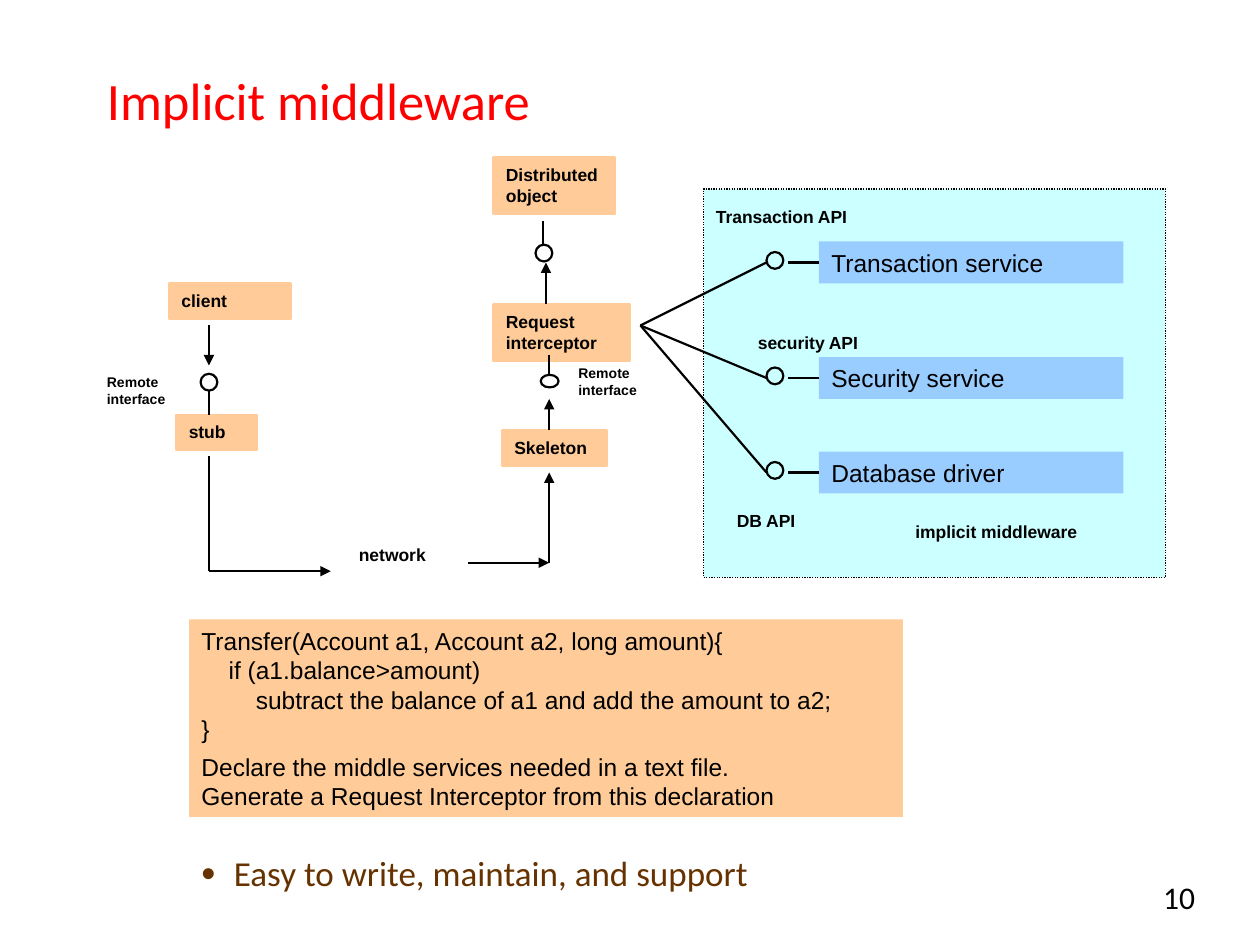
from lxml import etree
from pptx import Presentation
from pptx.dml.color import RGBColor
from pptx.enum.dml import MSO_LINE
from pptx.enum.shapes import MSO_CONNECTOR, MSO_SHAPE
from pptx.enum.text import MSO_ANCHOR, PP_ALIGN
from pptx.oxml.ns import qn
from pptx.util import Emu, Pt

PX = 7620  # EMU per px, 120 px to the inch

BLACK = RGBColor(0x00, 0x00, 0x00)
RED = RGBColor(0xFF, 0x00, 0x00)
BROWN = RGBColor(0x66, 0x33, 0x00)
ORANGE = RGBColor(0xFF, 0xCC, 0x99)
BLUE = RGBColor(0x99, 0xCC, 0xFF)
CYAN = RGBColor(0xCC, 0xFF, 0xFF)

RECT, OVAL = MSO_SHAPE.RECTANGLE, MSO_SHAPE.OVAL
STRAIGHT = MSO_CONNECTOR.STRAIGHT
TOP, MIDDLE = MSO_ANCHOR.TOP, MSO_ANCHOR.MIDDLE
LEFT, RIGHT = PP_ALIGN.LEFT, PP_ALIGN.RIGHT
DOTTED = MSO_LINE.ROUND_DOT

prs = Presentation()
prs.slide_width, prs.slide_height = Emu(1200 * PX), Emu(900 * PX)
shapes = prs.slides.add_slide(prs.slide_layouts[6]).shapes


def add_box(box, text="", kind=None, fill=None, line=None, size=10, bold=False,
            font="Arial", color=BLACK, align=LEFT, anchor=TOP):
    """Add a shape of the given kind, or a text box, with one paragraph per line of text."""
    box = [Emu(v * PX) for v in box]
    if kind is None:
        sp = shapes.add_textbox(*box)
    else:
        sp = shapes.add_shape(kind, *box)
        sp.shadow.inherit = False
    if fill is None:
        sp.fill.background()
    else:
        sp.fill.solid()
        sp.fill.fore_color.rgb = fill
    if line is None:
        sp.line.fill.background()
    else:
        sp.line.color.rgb = line
        sp.line.width = Pt(1.25)
    if text:
        tf = sp.text_frame
        tf.word_wrap = True
        tf.vertical_anchor = anchor
        for i, row in enumerate(text.split("\n")):
            p = tf.paragraphs[0] if i == 0 else tf.add_paragraph()
            p.alignment = align
            r = p.add_run()
            r.text = row
            r.font.name, r.font.size, r.font.bold = font, Pt(size), bold
            r.font.color.rgb = color
    return sp


def add_line(x1, y1, x2, y2, arrow=False):
    ln = shapes.add_connector(STRAIGHT, *[Emu(v * PX) for v in (x1, y1, x2, y2)])
    ln.line.color.rgb = BLACK
    ln.line.width = Pt(1.25)
    if arrow:
        etree.SubElement(ln.line._get_or_add_ln(), qn("a:tailEnd"), type="triangle")
    etree.SubElement(ln._element.spPr, qn("a:effectLst"))
    return ln


# Title, slide number and bullet
add_box((1060, 830, 90, 50), "10", size=18, font="Calibri", align=RIGHT)
add_box((90, 60, 980, 70), "Implicit middleware", size=30, font="Calibri",
        color=RED, anchor=MIDDLE)
sp = add_box((180, 810, 910, 30), "Easy to write, maintain, and support",
             size=20, font="Calibri", color=BROWN)
p = sp.text_frame.paragraphs[0]
p.line_spacing = 0.9
pPr = p._p.get_or_add_pPr()
pPr.set("marL", str(31 * PX))
pPr.set("indent", str(-31 * PX))
etree.SubElement(pPr, qn("a:buSzPct"), val="115000")
etree.SubElement(pPr, qn("a:buFont"), typeface="Arial")
etree.SubElement(pPr, qn("a:buChar"), char="•")

# Implicit middleware panel
panel = add_box((670, 180, 440, 370), kind=RECT, fill=CYAN, line=BLACK)
panel.line.width = Pt(0.75)
panel.line.dash_style = DOTTED

# Components on the call path
for box, name in [
    ((168, 395, 77, 34), "stub"),
    ((478, 410, 100, 34), "Skeleton"),
    ((161, 270, 116, 34), "client"),
    ((470, 150, 116, 54), "Distributed object"),
    ((470, 290, 130, 54), "Request interceptor"),
]:
    add_box(box, name, kind=RECT, fill=ORANGE, line=ORANGE, bold=True)

# Labels
for box, label, size in [
    ((539, 341, 130, 44), "Remote interface", 8),
    ((90, 350, 123, 44), "Remote interface", 8),
    ((330, 512, 101, 32), "network", 10),
    ((670, 190, 230, 32), "Transaction API", 10),
    ((710, 310, 250, 32), "security API", 10),
    ((690, 480, 230, 32), "DB API", 10),
    ((860, 490, 230, 32), "implicit middleware", 10),
]:
    add_box(box, label, size=size, bold=True)

# Interface circles and their stems
for circle, stem in [
    ((510, 233, 16, 16), (517, 210, 517, 233)),
    ((191, 356, 16, 16), (199, 395, 199, 372)),
    ((515, 357, 17, 12), (523, 338, 523, 357)),
]:
    add_line(*stem)
    add_box(circle, kind=OVAL, line=BLACK)

# Call path from client to distributed object
add_line(199, 434, 199, 544)
for points in [
    (199, 310, 199, 348),
    (199, 544, 315, 544),
    (446, 536, 523, 536),
    (523, 536, 523, 450),
    (523, 410, 523, 380),
    (520, 290, 520, 250),
]:
    add_line(*points, arrow=True)

# Services, each reached from the interceptor through its API
for y, name in [(250, "Transaction service"), (360, "Security service"),
                (450, "Database driver")]:
    service = add_box((780, y - 20, 290, 40), name, kind=RECT, fill=BLUE, size=14)
    add_box((730, y - 10, 16, 16), kind=OVAL, line=BLACK)
    add_line(780, y, 750, y).begin_connect(service, 1)
    add_line(610, 310, 730, y)

# Code and explanation
code = """Transfer(Account a1, Account a2, long amount){
    if (a1.balance>amount)
        subtract the balance of a1 and add the amount to a2;
}"""
steps = """Declare the middle services needed in a text file.
Generate a Request Interceptor from this declaration"""
add_box((180, 590, 680, 124), code, kind=RECT, fill=ORANGE, size=14)
add_box((180, 710, 680, 68), steps, kind=RECT, fill=ORANGE, size=14)

prs.save("out.pptx")
